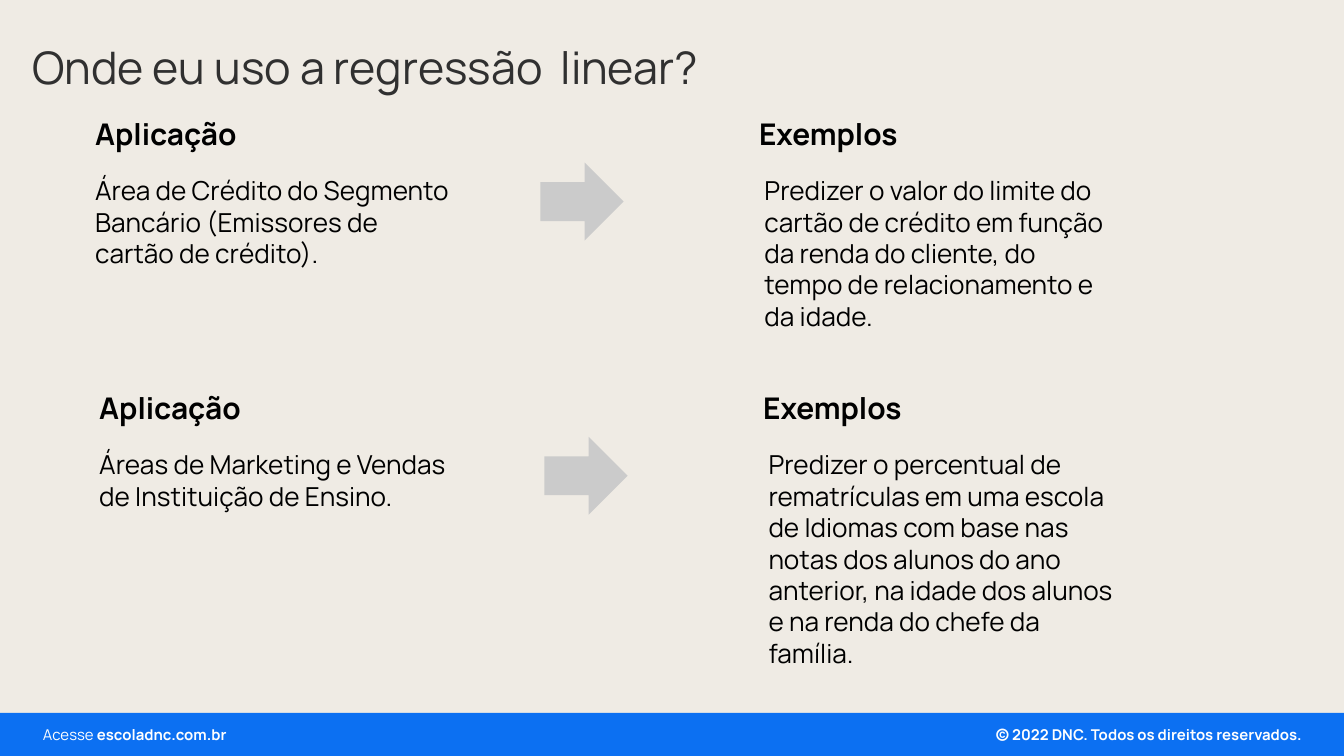
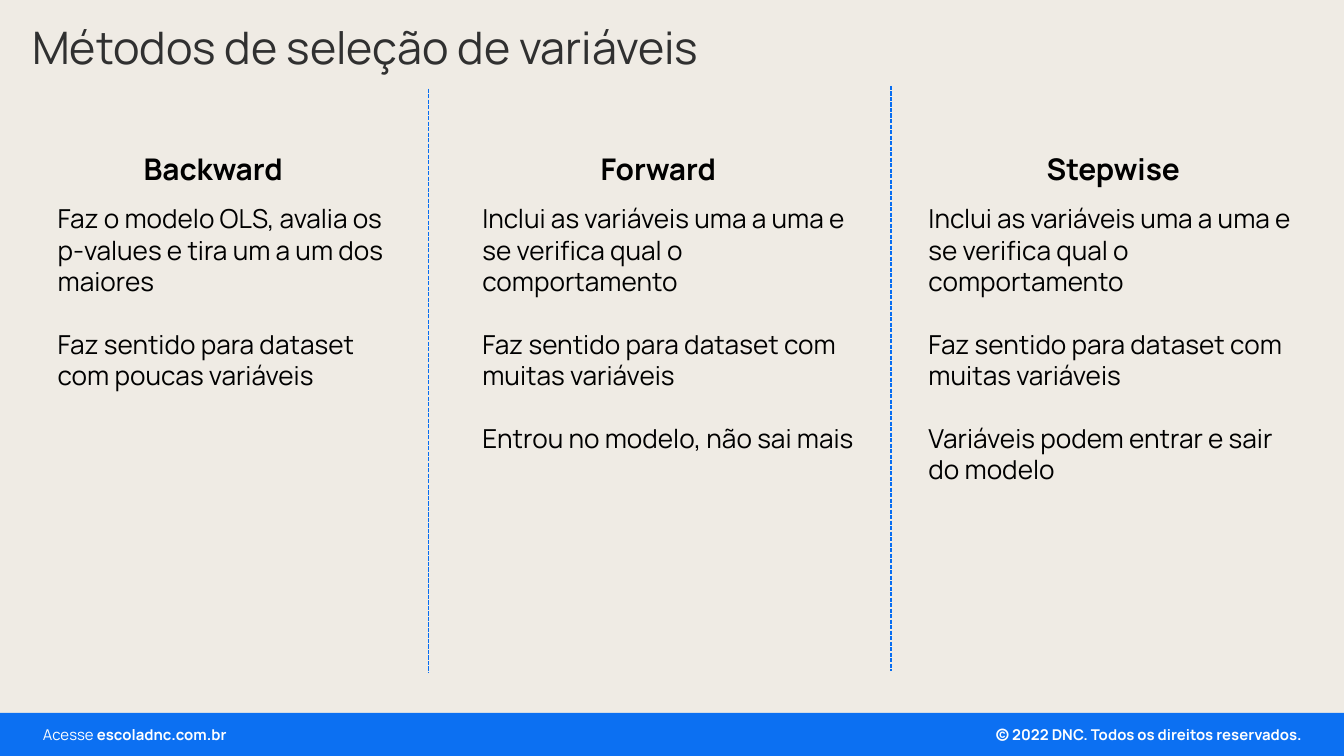
import dataclasses

import lxml.etree
import pptx
import pptx.dml.color
import pptx.enum.dml
import pptx.enum.shapes
import pptx.enum.text
import pptx.oxml.ns
import pptx.util

Inches = pptx.util.Inches
Pt = pptx.util.Pt
RGB = pptx.dml.color.RGBColor.from_string
ALIGN = pptx.enum.text.PP_ALIGN
ANCHOR = pptx.enum.text.MSO_ANCHOR
SHAPE = pptx.enum.shapes.MSO_SHAPE


@dataclasses.dataclass(frozen=True)
class Theme:
    font: str = "Manrope"
    background: str = "EFEBE4"
    band: str = "0C70F2"
    divider: str = "066DF2"
    arrow: str = "CBCBCB"
    title: str = "303030"
    text: str = "000000"
    footer: str = "FFFFFF"
    title_size: float = 24
    heading_size: float = 16
    body_size: float = 14
    footer_size: float = 8
    body_gap: float = 16.8


theme = Theme()


def add_text(s, text, x, y, w, h, size=theme.body_size, color=theme.text, bold=False,
             bold_tail="", align=ALIGN.LEFT, anchor=ANCHOR.TOP, inset=(0.1, 0.05),
             spacing=None, gap=0, grow=True):
    tf = s.shapes.add_textbox(Inches(x), Inches(y), Inches(w), Inches(h)).text_frame
    tf.word_wrap = True
    tf.vertical_anchor = anchor
    tf.margin_left = tf.margin_right = Inches(inset[0])
    tf.margin_top = tf.margin_bottom = Inches(inset[1])
    if grow:
        tf.auto_size = pptx.enum.text.MSO_AUTO_SIZE.SHAPE_TO_FIT_TEXT
    for i, line in enumerate(text.split("\n")):
        p = tf.add_paragraph() if i else tf.paragraphs[0]
        p.alignment = align
        if spacing:
            p.line_spacing = spacing
        if i and gap:
            p.space_before = Pt(gap)
        for part, weight in ((line, bold), (bold_tail, True)):
            if part:
                r = p.add_run()
                r.text = part
                r.font.name = theme.font
                r.font.size = Pt(size)
                r.font.bold = weight
                r.font.color.rgb = RGB(color)


def add_slide(prs, title, title_w, title_h):
    s = prs.slides.add_slide(prs.slide_layouts[6])
    s.background.fill.solid()
    s.background.fill.fore_color.rgb = RGB(theme.background)
    band_h = Inches(0.32)
    band = s.shapes.add_shape(SHAPE.RECTANGLE, 0, prs.slide_height - band_h,
                              prs.slide_width, band_h)
    band.shadow.inherit = False
    band.fill.solid()
    band.fill.fore_color.rgb = RGB(theme.band)
    band.line.fill.background()
    footer = dict(size=theme.footer_size, color=theme.footer, inset=(0.07, 0.04))
    add_text(s, "© 2022 DNC. Todos os direitos reservados.", 7.09, 5.36, 2.67, 0.21,
             bold=True, align=ALIGN.RIGHT, **footer)
    add_text(s, "Acesse ", 0.25, 5.36, 2.46, 0.21, bold_tail="escoladnc.com.br", **footer)
    add_text(s, title, 0.17, 0.08, title_w, title_h, size=theme.title_size, color=theme.title,
             anchor=ANCHOR.MIDDLE, inset=(0.07, 0.04), spacing=0.9, grow=False)
    return s


prs = pptx.Presentation()
prs.slide_width = Inches(10)
prs.slide_height = prs.slide_width * 9 // 16

s = add_slide(prs, "Onde eu uso a regressão  linear?", 6.77, 0.88)
applications = [
    (0.61, 0.81,
     "Área de Crédito do Segmento Bancário (Emissores de cartão de crédito).", 0.81,
     "Predizer o valor do limite do cartão de crédito em função da renda do cliente, do\n"
     "tempo de relacionamento e da idade.", 1.28),
    (0.64, 2.85,
     "Áreas de Marketing e Vendas de Instituição de Ensino.", 0.57,
     "Predizer o percentual de rematrículas em uma escola de Idiomas com base nas\n"
     "notas dos alunos do ano anterior, na idade dos alunos e na renda do chefe da\n"
     "família.", 1.75),
]
for x, y, area, area_h, example, example_h in applications:
    add_text(s, "Aplicação", x, y, 1.34, 0.37, size=theme.heading_size, bold=True)
    add_text(s, area, x, y + 0.44, 2.9, area_h)
    arrow = s.shapes.add_shape(SHAPE.RIGHT_ARROW, Inches(x + 3.41), Inches(y + 0.4),
                               Inches(0.62), Inches(0.58))
    arrow.shadow.inherit = False
    arrow.fill.solid()
    arrow.fill.fore_color.rgb = RGB(theme.arrow)
    arrow.line.fill.background()
    add_text(s, "Exemplos", x + 4.94, y, 1.34, 0.37, size=theme.heading_size, bold=True)
    add_text(s, example, x + 4.98, y + 0.44, 2.9, example_h)

s = add_slide(prs, "Métodos de seleção de variáveis", 5.92, 0.58)
forward_steps = ("Inclui as variáveis uma a uma e se verifica qual o comportamento\n"
                 "Faz sentido para dataset com muitas variáveis\n")
methods = [
    ("Backward", 0.97, 1.39, 0.33, 2.68, 1.99,
     "Faz o modelo OLS, avalia os p-values e tira um a um dos maiores\n"
     "Faz sentido para dataset com poucas variáveis"),
    ("Forward", 4.37, 1.2, 3.49, 3.02, 2.22, forward_steps + "Entrou no modelo, não sai mais"),
    ("Stepwise", 7.69, 1.2, 6.81, 3.02, 2.22,
     forward_steps + "Variáveis podem entrar e sair do modelo"),
]
for name, name_x, name_w, x, w, h, steps in methods:
    add_text(s, name, name_x, 0.94, name_w, 0.46, size=theme.heading_size, bold=True, spacing=1.5)
    add_text(s, steps, x, 1.46, w, h, gap=theme.body_gap)

for x, y in ((3.19, 0.66), (6.63, 0.64)):
    divider = s.shapes.add_connector(pptx.enum.shapes.MSO_CONNECTOR.STRAIGHT,
                                     Inches(x), Inches(y), Inches(x), Inches(y + 4.35))
    divider.line.color.rgb = RGB(theme.divider)
    divider.line.width = Pt(0.75)
    divider.line.dash_style = pptx.enum.dml.MSO_LINE.SQUARE_DOT
    lxml.etree.SubElement(divider._element.spPr, pptx.oxml.ns.qn("a:effectLst"))

prs.save("out.pptx")
